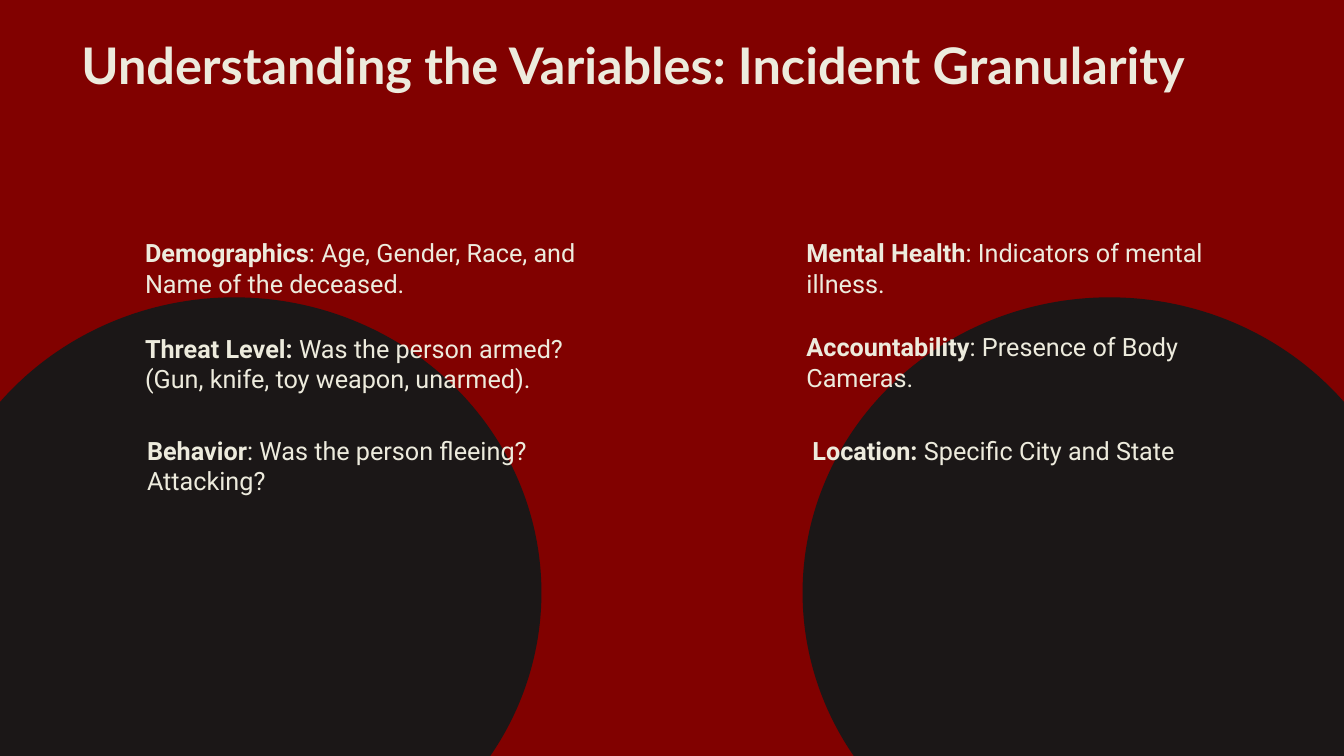
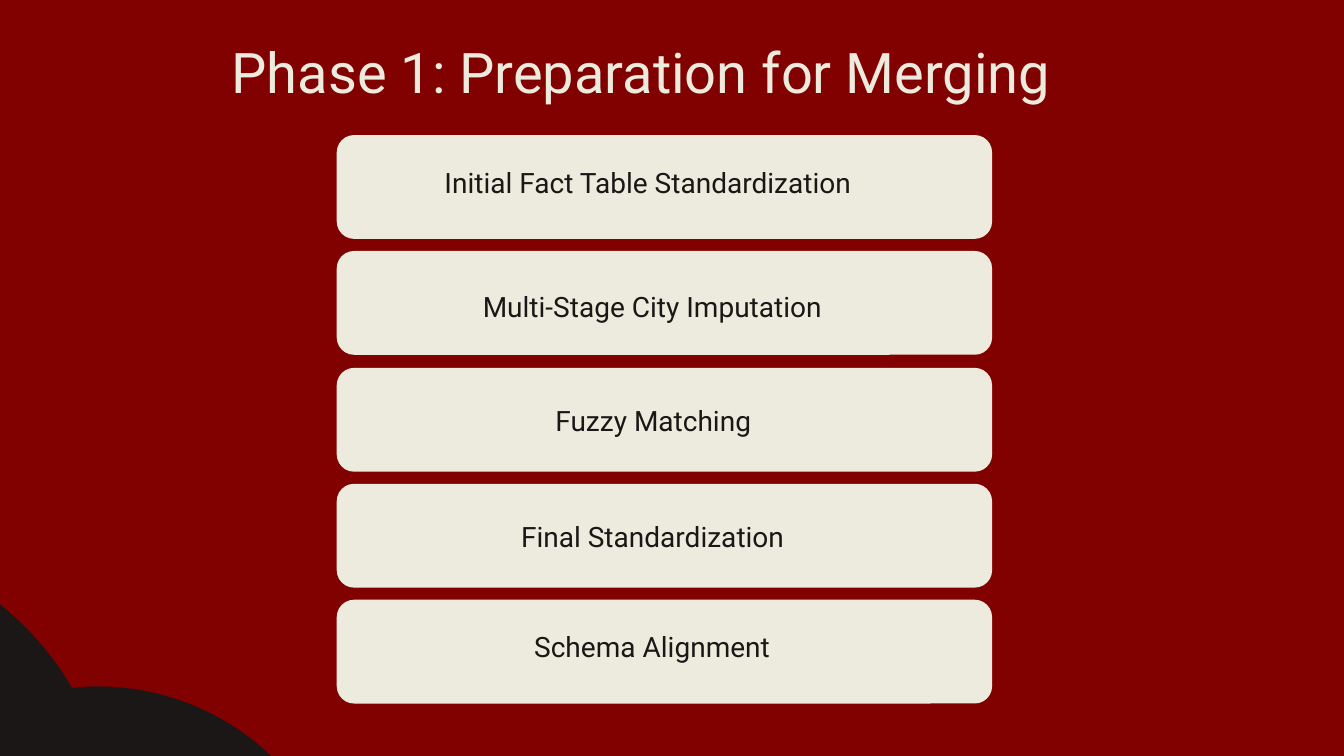
import pptx
import pptx.util
import pptx.dml.color
import pptx.enum.shapes
import pptx.enum.text

Inches = pptx.util.Inches
Pt = pptx.util.Pt
RGBColor = pptx.dml.color.RGBColor
SHAPE = pptx.enum.shapes.MSO_SHAPE

# Shared look
RED = RGBColor(0x81, 0x01, 0x00)
BLACK = RGBColor(0x1B, 0x17, 0x17)
CREAM = RGBColor(0xED, 0xEB, 0xDD)
HEADING_FONT = "Lato"
BODY_FONT = "Roboto"
SLIDE_WIDTH, SLIDE_HEIGHT = 13.33, 7.5


def add_filled_shape(slide, kind, left, top, width, height, color):
    shape = slide.shapes.add_shape(
        kind, Inches(left), Inches(top), Inches(width), Inches(height))
    shape.shadow.inherit = False
    shape.fill.solid()
    shape.fill.fore_color.rgb = color
    shape.line.fill.background()


def add_text(slide, text, left, top, width, height, size, color,
             font=BODY_FONT, bold=None, lead="", spacing=None):
    """Add a one-paragraph text box, optionally opened by a bold lead."""
    box = slide.shapes.add_textbox(
        Inches(left), Inches(top), Inches(width), Inches(height))
    frame = box.text_frame
    frame.word_wrap = True
    frame.auto_size = pptx.enum.text.MSO_AUTO_SIZE.SHAPE_TO_FIT_TEXT
    paragraph = frame.paragraphs[0]
    paragraph.font.name = font
    paragraph.font.size = Pt(size)
    paragraph.font.color.rgb = color
    paragraph.font.bold = bold
    if spacing:
        paragraph.line_spacing = Pt(spacing)
    if lead:
        lead_run = paragraph.add_run()
        lead_run.text = lead
        lead_run.font.bold = True
    paragraph.add_run().text = text


presentation = pptx.Presentation()
presentation.slide_width = Inches(SLIDE_WIDTH)
presentation.slide_height = Inches(SLIDE_HEIGHT)

# Both slides: red backdrop with dark circles (left, top, width, height)
slide_circles = [
    [(-0.72, 2.95, 6.09, 5.86), (7.96, 2.95, 6.09, 5.86)],
    [(-1.52, 6.81, 4.98, 4.99), (-5.41, 5.25, 6.49, 5.85)],
]
for circles in slide_circles:
    slide = presentation.slides.add_slide(presentation.slide_layouts[6])
    add_filled_shape(slide, SHAPE.RECTANGLE, 0, 0, SLIDE_WIDTH, SLIDE_HEIGHT, RED)
    for circle in circles:
        add_filled_shape(slide, SHAPE.OVAL, *circle, BLACK)
variables_slide, phase_slide = presentation.slides

# Slide 1: variables in two columns
add_text(variables_slide, "Understanding the Variables: Incident Granularity",
         0.71, 0.29, 11.47, 0.71, 36, CREAM, font=HEADING_FONT, bold=True)
variables = [
    (1.34, 2.31, 4.94, 0.71, "Demographics", ": Age, Gender, Race, and Name of the deceased."),
    (1.34, 3.26, 4.94, 0.71, "Threat Level: ",
     "Was the person armed? (Gun, knife, toy weapon, unarmed)."),
    (1.36, 4.27, 5.09, 0.71, "Behavior", ": Was the person fleeing? Attacking?"),
    (7.9, 2.31, 4.77, 0.71, "Mental Health", ": Indicators of mental illness."),
    (7.9, 3.24, 4.96, 0.71, "Accountability", ": Presence of Body Cameras."),
    (7.96, 4.27, 4.13, 0.4, "Location: ", "Specific City and State"),
]
for left, top, width, height, name, description in variables:
    add_text(variables_slide, description, left, top, width, height, 18, CREAM, lead=name)

# Slide 2: stack of preparation steps
add_text(phase_slide, "Phase 1: Preparation for Merging",
         2.2, 0.22, 8.94, 0.86, 40, CREAM, spacing=55.5)
CARD_TOP, CARD_PITCH = 1.34, 1.153
steps = [
    (4.31, 1.54, 4.72, 0.48, 27.5, "Initial Fact Table Standardization"),
    (4.69, 2.77, 3.8, 0.48, 27.5, "Multi-Stage City Imputation"),
    (5.41, 3.94, 2.36, 0.45, 25, "Fuzzy Matching"),
    (5.07, 5.09, 3.04, 0.45, 25, "Final Standardization"),
    (5.2, 6.18, 2.78, 0.45, 25, "Schema Alignment"),
]
for index, (left, top, width, height, spacing, label) in enumerate(steps):
    card_top = round(CARD_TOP + index * CARD_PITCH, 2)
    add_filled_shape(phase_slide, SHAPE.ROUNDED_RECTANGLE, 3.34, card_top, 6.5, 1.03, CREAM)
    add_text(phase_slide, label, left, top, width, height, 20, BLACK, spacing=spacing)

presentation.save("out.pptx")
